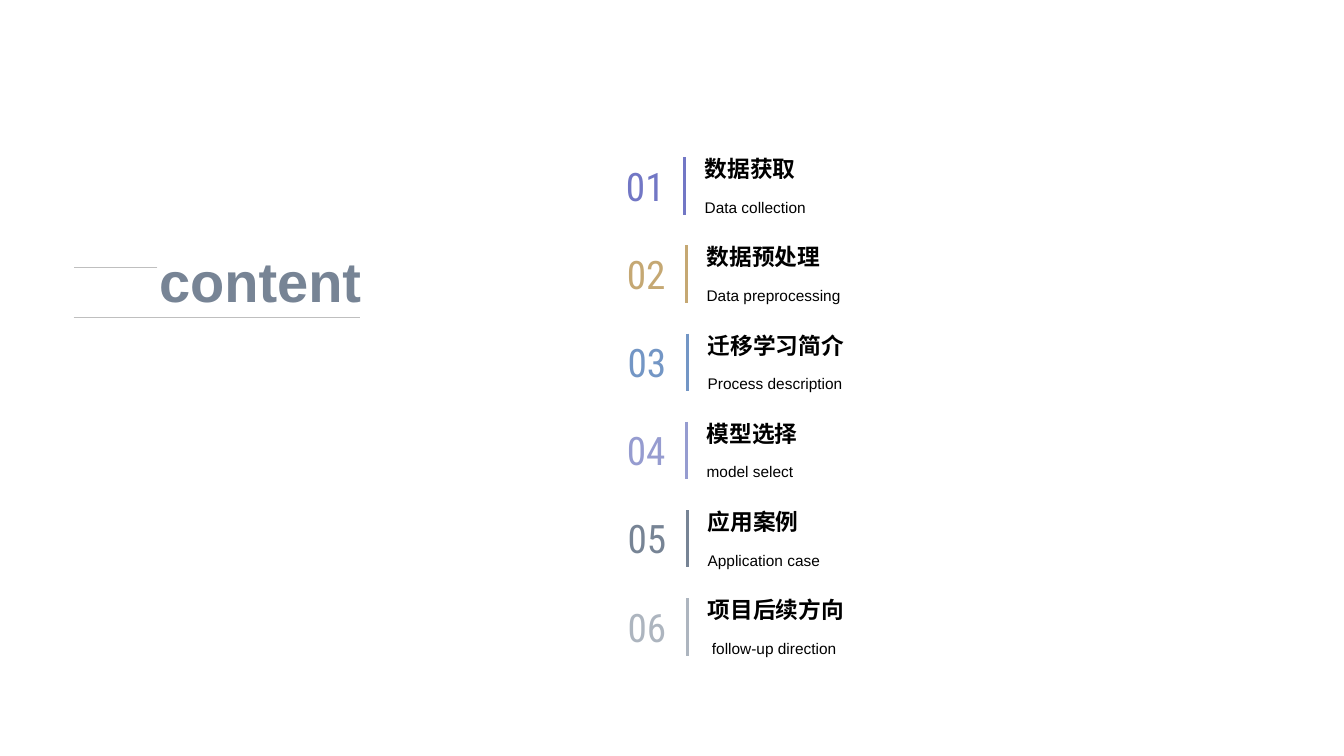
from pptx import Presentation
from pptx.dml.color import RGBColor
from pptx.enum import shapes, text
from pptx.oxml.ns import qn
from pptx.util import Inches, Pt
from lxml import etree

BLACK = RGBColor(0x00, 0x00, 0x00)
RULE = RGBColor(0xBF, 0xBF, 0xBF)
VIOLET = RGBColor(0x72, 0x77, 0xC5)
GOLD = RGBColor(0xC5, 0xA8, 0x73)
BLUE = RGBColor(0x73, 0x96, 0xC5)
LAVENDER = RGBColor(0x96, 0x9C, 0xD0)
SLATE = RGBColor(0x77, 0x84, 0x95)
SILVER = RGBColor(0xAD, 0xB5, 0xBF)

MIDDLE = text.MSO_ANCHOR.MIDDLE
NUMBER = dict(size=Pt(28), name="Roboto Condensed")
TITLE = dict(size=Pt(16.2), name="Arial", bold=True)
SUBTITLE = dict(size=Pt(11), name="Arial")
HEADING = dict(size=Pt(40), name="Arial", bold=True)

prs = Presentation()
prs.slide_width, prs.slide_height = Inches(13.33), Inches(7.5)
s = prs.slides.add_slide(prs.slide_layouts[6])


def add_line(x1, y1, x2, y2, color, width):
    ln = s.shapes.add_connector(shapes.MSO_CONNECTOR.STRAIGHT,
                                Inches(x1), Inches(y1), Inches(x2), Inches(y2))
    ln.line.color.rgb = color
    ln.line.width = Pt(width)
    etree.SubElement(ln._element.spPr, qn("a:effectLst"))


def add_text(words, box, font, color, anchor, spacing=1.0, centred=False):
    tf = s.shapes.add_textbox(*map(Inches, box)).text_frame
    tf.word_wrap = not centred
    tf.vertical_anchor = anchor
    p = tf.paragraphs[0]
    p.line_spacing = spacing
    if centred:
        p.alignment = text.PP_ALIGN.CENTER
        tf.margin_left = tf.margin_right = tf.margin_top = tf.margin_bottom = 0
    r = p.add_run()
    r.text = words
    r.font.color.rgb = color
    for key, value in font.items():
        setattr(r.font, key, value)


add_line(1.56, 2.65, 0.73, 2.65, RULE, 0.5)
add_line(0.73, 3.15, 3.57, 3.15, RULE, 0.5)

TOP, PITCH, NUMBER_X = 1.56, 0.875, 6.14
chapters = [
    ("数据获取", "Data collection", VIOLET, 6.79),
    ("数据预处理", "Data preprocessing", GOLD, 6.81),
    ("迁移学习简介", "Process description", BLUE, 6.82),
    ("模型选择", "model select", LAVENDER, 6.81),
    ("应用案例", "Application case", SLATE, 6.82),
    ("项目后续方向", " follow-up direction", SILVER, 6.82),
]
for i, (title, subtitle, color, bar_x) in enumerate(chapters):
    y = TOP + i * PITCH
    text_x = bar_x + 0.1
    add_text(f"{i + 1:02}", (NUMBER_X, y + 0.03, bar_x - NUMBER_X - 0.13, 0.5),
             NUMBER, color, MIDDLE, centred=True)
    add_line(bar_x, y, bar_x, y + 0.57, color, 2.25)
    add_text(subtitle, (text_x, y + 0.3, 3.95, 0.35), SUBTITLE, BLACK,
             text.MSO_ANCHOR.TOP, 1.3)
    add_text(title, (text_x, y - 0.08, 3.95, 0.38), TITLE, BLACK,
             text.MSO_ANCHOR.BOTTOM, 0.9)

add_text("content", (1.48, 2.46, 2.3, 0.72), HEADING, SLATE, MIDDLE, 0.9)

prs.save("out.pptx")
